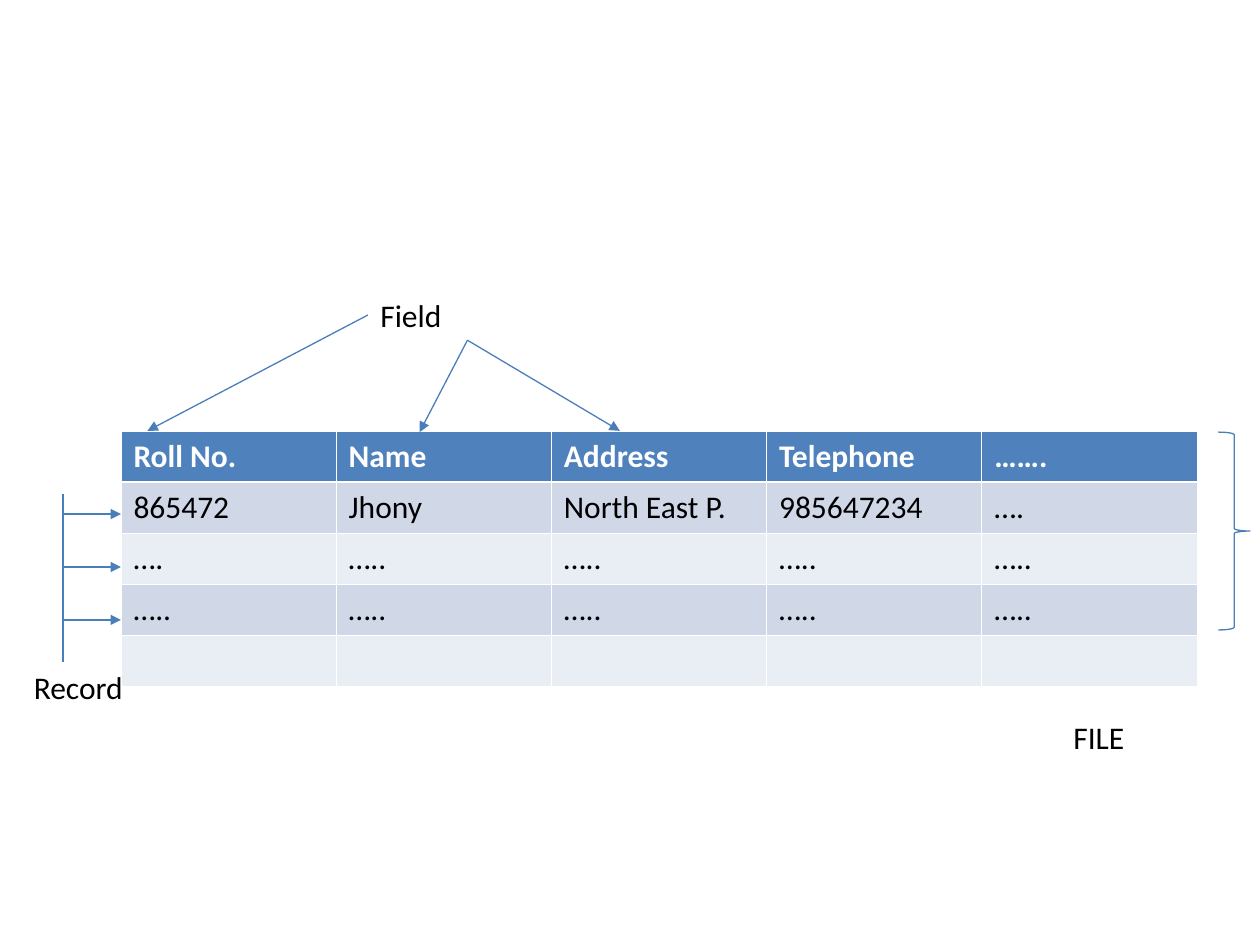
from lxml import etree
from pptx import Presentation
from pptx.dml.color import RGBColor
from pptx.enum.shapes import MSO_CONNECTOR, MSO_SHAPE
from pptx.oxml.ns import qn
from pptx.util import Inches, Pt

STRAIGHT = MSO_CONNECTOR.STRAIGHT
BRACE = MSO_SHAPE.RIGHT_BRACE
LINE = "4A7EBB"


def color(code):
    return RGBColor.from_string(code)


def style(par, code="000000", bold=False):
    par.font.name = "Calibri"
    par.font.size = Pt(18)
    par.font.bold = bold
    par.font.color.rgb = color(code)


prs = Presentation()
prs.slide_width, prs.slide_height = Inches(10), Inches(7.5)
slide = prs.slides.add_slide(prs.slide_layouts[6])
shapes = slide.shapes

# Student file table
rows = [
    ["Roll No.", "Name", "Address", "Telephone", "……."],
    ["865472", "Jhony", "North East P.", "985647234", "…."],
    ["…."] + ["….."] * 4,
    ["….."] * 5,
    [""] * 5,
]
table = shapes.add_table(5, 5, Inches(0.96), Inches(3.42),
                         Inches(8.54), Inches(2.03)).table
for r, texts in enumerate(rows):
    table.rows[r].height = Inches(2.03 / 5)
    head = r == 0
    fill = "4F81BD" if head else "D0D8E8" if r % 2 else "E9EDF4"
    for c, text in enumerate(texts):
        cell = table.cell(r, c)
        props = cell._tc.get_or_add_tcPr()
        for side in "LRTB":
            thick = (r, side) in ((0, "B"), (1, "T"))
            edge = etree.SubElement(props, qn("a:ln" + side),
                                    w=str(Pt(1.47 if thick else 0.45)))
            solid = etree.SubElement(edge, qn("a:solidFill"))
            etree.SubElement(solid, qn("a:srgbClr"), val="FFFFFF")
        cell.fill.solid()
        cell.fill.fore_color.rgb = color(fill)
        cell.text = text
        style(cell.text_frame.paragraphs[0],
              "FFFFFF" if head else "000000", head)

# Labels
for text, left, top in [("Field", 2.92, 2.3), ("Record", 0.17, 5.25),
                        ("FILE", 8.42, 5.65)]:
    box = shapes.add_textbox(Inches(left), Inches(top),
                             Inches(1.58), Inches(0.4))
    box.text_frame.word_wrap = True
    box.text_frame.text = text
    style(box.text_frame.paragraphs[0])

# Field arrows, record bar and record arrows
lines = [
    (2.92, 2.5, 1.17, 3.42, True),
    (3.71, 2.7, 3.33, 3.43, True),
    (3.71, 2.7, 4.92, 3.42, True),
    (0.5, 3.92, 0.5, 5.25, False),
]
lines += [(0.5, y, 0.96, y, True) for y in (4.08, 4.5, 4.92)]
for *ends, arrow in lines:
    link = shapes.add_connector(STRAIGHT, *map(Inches, ends))
    link.line.color.rgb = color(LINE)
    link.line.width = Pt(0.75)
    if arrow:
        etree.SubElement(link.line._get_or_add_ln(), qn("a:tailEnd"),
                         type="triangle")
    etree.SubElement(link._element.spPr, qn("a:effectLst"))

# File brace
brace = shapes.add_shape(BRACE, Inches(9.67), Inches(3.43),
                         Inches(0.25), Inches(1.57))
brace.shadow.inherit = False
brace.fill.background()
brace.line.color.rgb = color(LINE)
brace.line.width = Pt(0.75)

prs.save("out.pptx")
